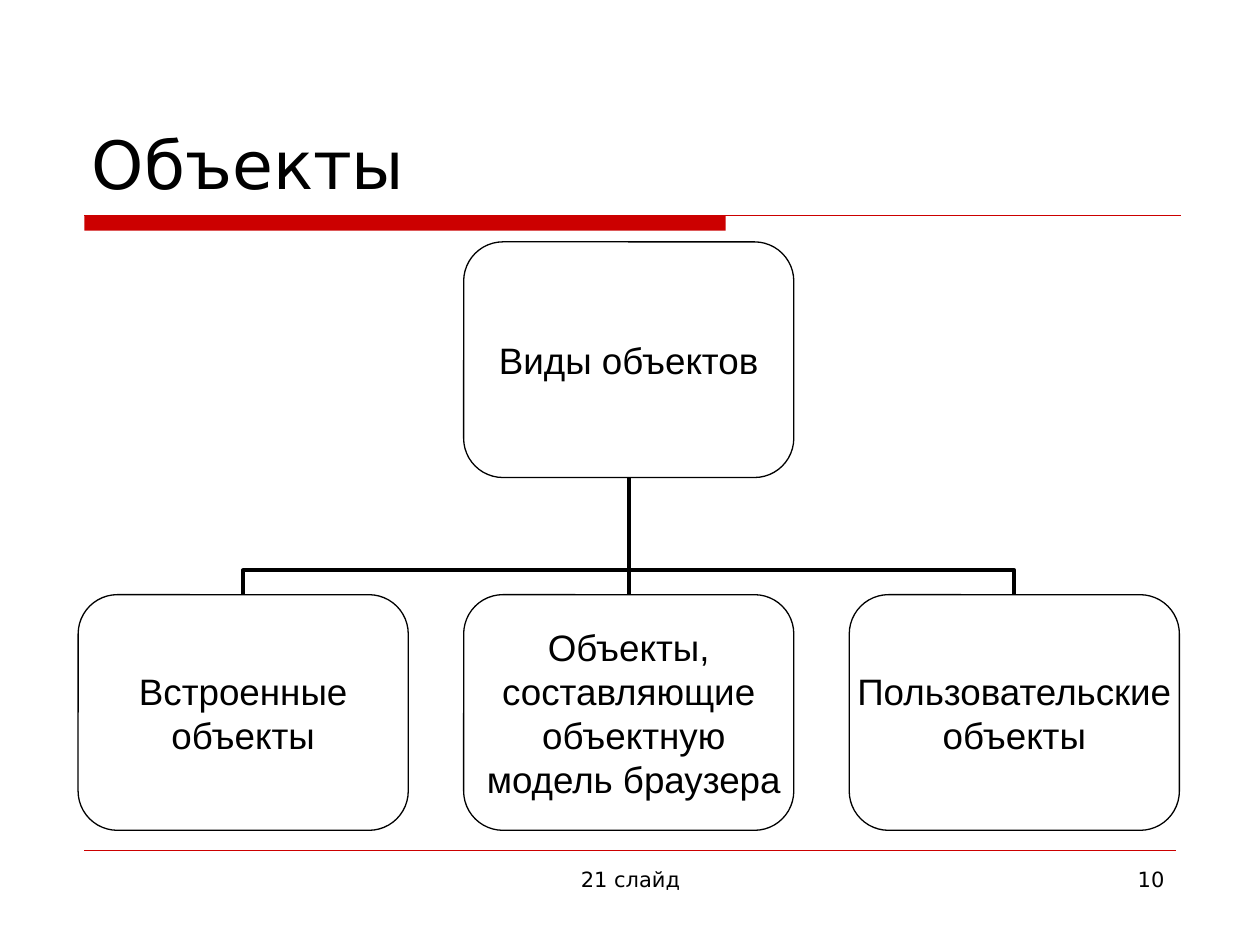
from lxml import etree
from pptx import Presentation
from pptx.dml.color import RGBColor
from pptx.enum.shapes import MSO_CONNECTOR, MSO_SHAPE
from pptx.enum.text import MSO_ANCHOR, PP_ALIGN
from pptx.oxml.ns import qn
from pptx.util import Inches, Pt

STRAIGHT, ELBOW = MSO_CONNECTOR.STRAIGHT, MSO_CONNECTOR.ELBOW
RECT, ROUNDED = MSO_SHAPE.RECTANGLE, MSO_SHAPE.ROUNDED_RECTANGLE
LEFT, CENTER, RIGHT = PP_ALIGN.LEFT, PP_ALIGN.CENTER, PP_ALIGN.RIGHT
TOP, MIDDLE, BOTTOM = MSO_ANCHOR.TOP, MSO_ANCHOR.MIDDLE, MSO_ANCHOR.BOTTOM
RED, BLACK = "CC0000", "000000"
HEAD_FONT, BOX_FONT = "DejaVu Sans", "Arial"
BOX_W, BOX_H = 2.62, 1.87


def rgb(color):
    return RGBColor.from_string(color)


def write(tf, lines, size, font, align):
    for i, line in enumerate(lines):
        p = tf.paragraphs[0] if i == 0 else tf.add_paragraph()
        p.alignment = align
        r = p.add_run()
        r.text = line
        r.font.size = Pt(size)
        r.font.name = font
        r.font.color.rgb = rgb(BLACK)


def add_text(s, x, y, w, h, text, size, align, anchor=TOP):
    tf = s.shapes.add_textbox(Inches(x), Inches(y), Inches(w), Inches(h)).text_frame
    tf.word_wrap = True
    tf.vertical_anchor = anchor
    write(tf, [text], size, HEAD_FONT, align)


def add_line(s, kind, x1, y1, x2, y2, color, width):
    line = s.shapes.add_connector(kind, Inches(x1), Inches(y1), Inches(x2), Inches(y2))
    line.line.color.rgb = rgb(color)
    line.line.width = Pt(width)
    etree.SubElement(line._element.spPr, qn("a:effectLst"))
    return line


def add_header(s, x, y, w, title):
    bar = s.shapes.add_shape(RECT, Inches(x), Inches(y), Inches(5.09), Inches(0.12))
    bar.shadow.inherit = False
    bar.fill.solid()
    bar.fill.fore_color.rgb = rgb(RED)
    bar.line.fill.background()
    add_line(s, STRAIGHT, x, y, x + w, y, RED, 0.75)
    add_text(s, 0.63, 0.33, 8.75, 1.33, title, 38, LEFT, BOTTOM)


def add_footer(s, x, y, w, label, number):
    add_line(s, STRAIGHT, x, y, x + w, y, RED, 0.25)
    add_text(s, 3.42, y + 0.08, 3.17, 0.52, label, 12, CENTER)
    add_text(s, 7.17, y + 0.08, 2.17, 0.52, number, 12, RIGHT)


def add_box(s, x, y, lines):
    box = s.shapes.add_shape(ROUNDED, Inches(x), Inches(y), Inches(BOX_W), Inches(BOX_H))
    box.shadow.inherit = False
    box.fill.background()
    box.line.color.rgb = rgb(BLACK)
    box.line.width = Pt(0.75)
    tf = box.text_frame
    tf.margin_left = tf.margin_right = tf.margin_top = tf.margin_bottom = 0
    tf.word_wrap = False
    tf.vertical_anchor = MIDDLE
    write(tf, lines, 21, BOX_FONT, CENTER)
    return box


def add_elbow(s, child_x, child_y, parent_x, parent_y):
    """Rise from a child, run across and rise to the parent, as a rotated elbow."""
    mid_x, mid_y = (child_x + parent_x) / 2, (child_y + parent_y) / 2
    half_rise, half_run = (child_y - parent_y) / 2, (child_x - parent_x) / 2
    elbow = add_line(s, ELBOW, mid_x - half_rise, mid_y + half_run,
                     mid_x + half_rise, mid_y - half_run, BLACK, 2.25)
    sp_pr = elbow._element.spPr
    sp_pr.find(qn("a:xfrm")).set("rot", str(270 * 60000))
    guides = sp_pr.find(qn("a:prstGeom")).get_or_add_avLst()
    etree.SubElement(guides, qn("a:gd"), name="adj1", fmla="val 20900")


def add_tree(s, x, y, w, h, root, children):
    """Centre the root above an evenly spaced row of children."""
    step = (w - BOX_W) / (len(children) - 1)
    center, child_y = x + w / 2, y + h - BOX_H
    child_xs = [x + i * step for i in range(len(children))]
    for child_x in (child_xs[-1], child_xs[0]):
        add_elbow(s, child_x + BOX_W / 2, child_y, center, y + BOX_H)
    trunk = add_line(s, STRAIGHT, center, child_y, center, y + BOX_H, BLACK, 2.25)
    parent = add_box(s, center - BOX_W / 2, y, root)
    boxes = [add_box(s, cx, child_y, lines) for cx, lines in zip(child_xs, children)]
    trunk.begin_connect(boxes[len(boxes) // 2], 0)
    trunk.end_connect(parent, 2)


def main():
    prs = Presentation()
    prs.slide_width, prs.slide_height = Inches(10), Inches(7.5)
    s = prs.slides.add_slide(prs.slide_layouts[6])
    add_header(s, 0.67, 1.71, 8.7, "Объекты")
    add_tree(s, 0.62, 1.92, 8.74, 4.67, ["Виды объектов"], [
        ["Встроенные", "объекты"],
        ["Объекты,", "составляющие", " объектную", " модель браузера"],
        ["Пользовательские", "объекты"],
    ])
    add_footer(s, 0.67, 6.75, 8.66, "21 слайд", "10")
    prs.save("out.pptx")


if __name__ == "__main__":
    main()
